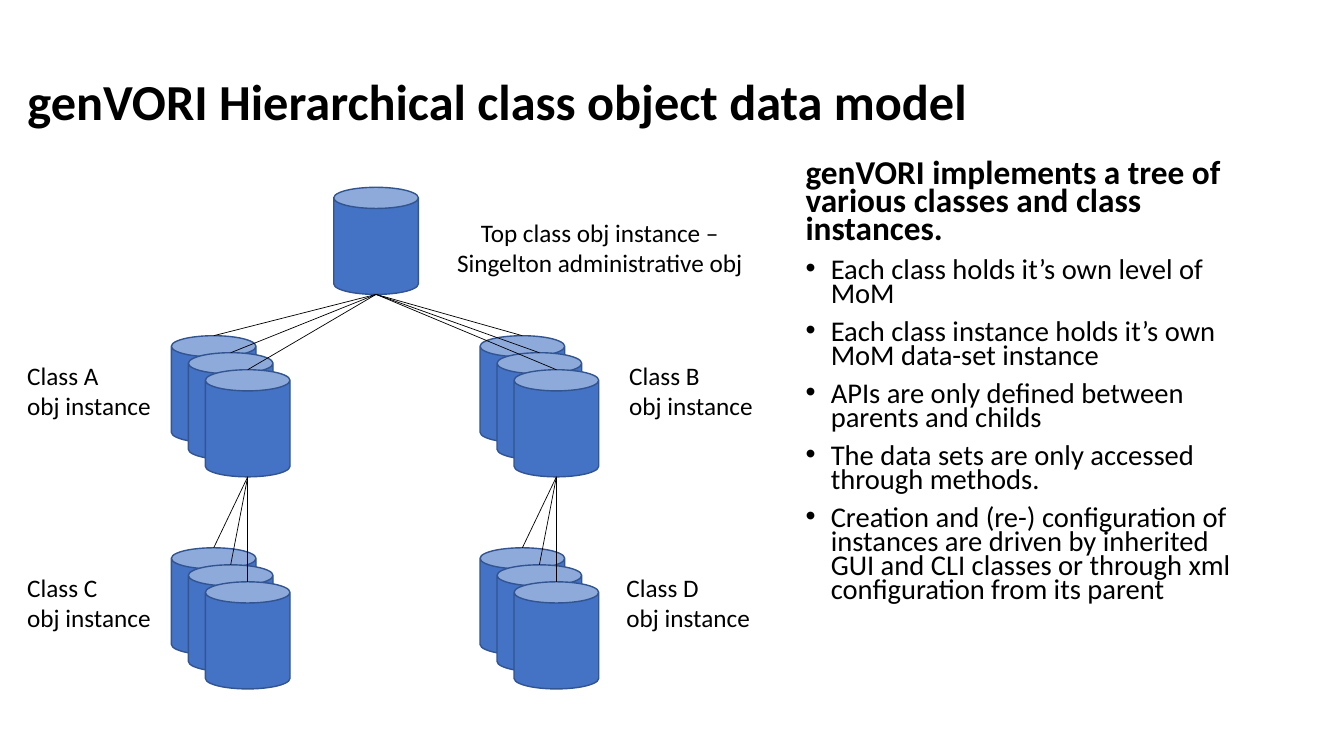
from dataclasses import dataclass

from lxml.etree import SubElement
from pptx import Presentation
from pptx.dml.color import RGBColor
from pptx.enum.shapes import MSO_CONNECTOR, MSO_SHAPE
from pptx.enum.text import MSO_ANCHOR, MSO_AUTO_SIZE, PP_ALIGN
from pptx.oxml.ns import qn
from pptx.util import Pt


@dataclass(frozen=True)
class Theme:
    """Colours, font and type sizes of the slide."""
    font: str = "Calibri"
    ink: RGBColor = RGBColor(0, 0, 0)
    fill: RGBColor = RGBColor(0x44, 0x72, 0xC4)
    edge: RGBColor = RGBColor(0x32, 0x54, 0x91)
    title: float = 36
    lead: float = 23.8
    item: float = 20.4
    label: float = 18


THEME = Theme()
CAN_W, CAN_H = 60.5, 76.5
STEP = 12.15
DEPTH = 3
POINTS = (
    "Each class holds it’s own level of MoM",
    "Each class instance holds it’s own MoM data-set instance",
    "APIs are only defined between parents and childs",
    "The data sets are only accessed through methods.",
    "Creation and (re-) configuration of instances are driven by inherited "
    "GUI and CLI classes or through xml configuration from its parent",
)


def write(par, text, size, bold=False, align=PP_ALIGN.LEFT, space=None,
          before=0, bullet=None, indent=0):
    """Fill a paragraph with text and format it."""
    par.text = text
    par.alignment = align
    par.line_spacing = space
    par.space_before = Pt(before)
    for run in par.runs:
        run.font.name = THEME.font
        run.font.size = Pt(size)
        run.font.bold = bold
        run.font.color.rgb = THEME.ink
    props = par._p.get_or_add_pPr()
    props.set("marL", str(Pt(indent)))
    props.set("indent", str(-Pt(indent)))
    if bullet:
        SubElement(props, qn("a:buFont"), typeface="Arial")
        SubElement(props, qn("a:buChar"), char=bullet)
    else:
        SubElement(props, qn("a:buNone"))


def place(shape, x, y, w, h):
    """Move a shape to a box given in points."""
    shape.left, shape.top, shape.width, shape.height = map(Pt, (x, y, w, h))


def head(slide, x, y, w, h):
    """Set the slide title."""
    shape = slide.shapes.title
    place(shape, x, y, w, h)
    frame = shape.text_frame
    frame.auto_size = MSO_AUTO_SIZE.NONE
    frame.vertical_anchor = MSO_ANCHOR.MIDDLE
    write(frame.paragraphs[0], "genVORI Hierarchical class object data model",
          THEME.title, bold=True, space=0.9)


def notes(slide, x, y, w, h):
    """Set the lead sentence and its bullet list."""
    shape = slide.placeholders[1]
    place(shape, x, y, w, h)
    frame = shape.text_frame
    frame.auto_size = MSO_AUTO_SIZE.NONE
    write(frame.paragraphs[0],
          "genVORI implements a tree of various classes and class instances.",
          THEME.lead, bold=True, space=0.7, before=10)
    for point in POINTS:
        write(frame.add_paragraph(), point, THEME.item, space=0.7, before=10,
              bullet="•", indent=18)


def label(slide, lines, x, y, w, wrap=True, align=PP_ALIGN.LEFT):
    """Add a text label, one paragraph for each line."""
    box = slide.shapes.add_textbox(Pt(x), Pt(y), Pt(w), Pt(51))
    frame = box.text_frame
    frame.word_wrap = wrap
    frame.auto_size = MSO_AUTO_SIZE.SHAPE_TO_FIT_TEXT
    for i, line in enumerate(lines):
        par = frame.add_paragraph() if i else frame.paragraphs[0]
        write(par, line, THEME.label, align=align)


def can(slide, x, y):
    """Draw one object instance and return its top and bottom centres."""
    shape = slide.shapes.add_shape(MSO_SHAPE.CAN, Pt(x), Pt(y),
                                   Pt(CAN_W), Pt(CAN_H))
    shape.shadow.inherit = False
    shape.fill.solid()
    shape.fill.fore_color.rgb = THEME.fill
    shape.line.color.rgb = THEME.edge
    shape.line.width = Pt(1)
    mid = x + CAN_W / 2
    return (mid, y), (mid, y + CAN_H)


def stack(slide, x, y):
    """Draw overlapping instances; return their tops and the front bottom."""
    ends = [can(slide, x + i * STEP, y + i * STEP) for i in range(DEPTH)]
    return [top for top, _ in ends], ends[-1][1]


def link(slide, start, ends):
    """Join one parent point to each child point."""
    for end in ends:
        line = slide.shapes.add_connector(MSO_CONNECTOR.STRAIGHT,
                                          *map(Pt, (*start, *end)))
        line.line.color.rgb = THEME.ink
        line.line.width = Pt(0.5)
        SubElement(line._element.spPr, qn("a:effectLst"))


def tree(slide, x, y):
    """Draw the class tree from its top left corner."""
    _, root = can(slide, x + 226, y)
    label(slide, ("Top class obj instance –", "Singelton administrative obj"),
          x + 306, y + 18, 220, wrap=False, align=PP_ALIGN.CENTER)
    upper, lower = y + 106, y + 257.5
    sides = ((x + 110, "A", "C", x, x),
             (x + 330.5, "B", "D", x + 430, x + 428))
    for left, parent, child, near, far in sides:
        tops, base = stack(slide, left, upper)
        leaves, _ = stack(slide, left, lower)
        link(slide, root, tops)
        link(slide, base, leaves)
        for name, side, row in ((parent, near, upper), (child, far, lower)):
            label(slide, (f"Class {name}\vobj instance",), side, row + 14, 111)


def main():
    """Build the slide and save it."""
    deck = Presentation()
    deck.slide_width, deck.slide_height = Pt(960), Pt(540)
    slide = deck.slides.add_slide(deck.slide_layouts[1])
    head(slide, 12.4, 36, 881, 76.5)
    notes(slide, 568.2, 112.5, 326, 349)
    tree(slide, 12.4, 133.8)
    deck.save("out.pptx")


if __name__ == "__main__":
    main()
